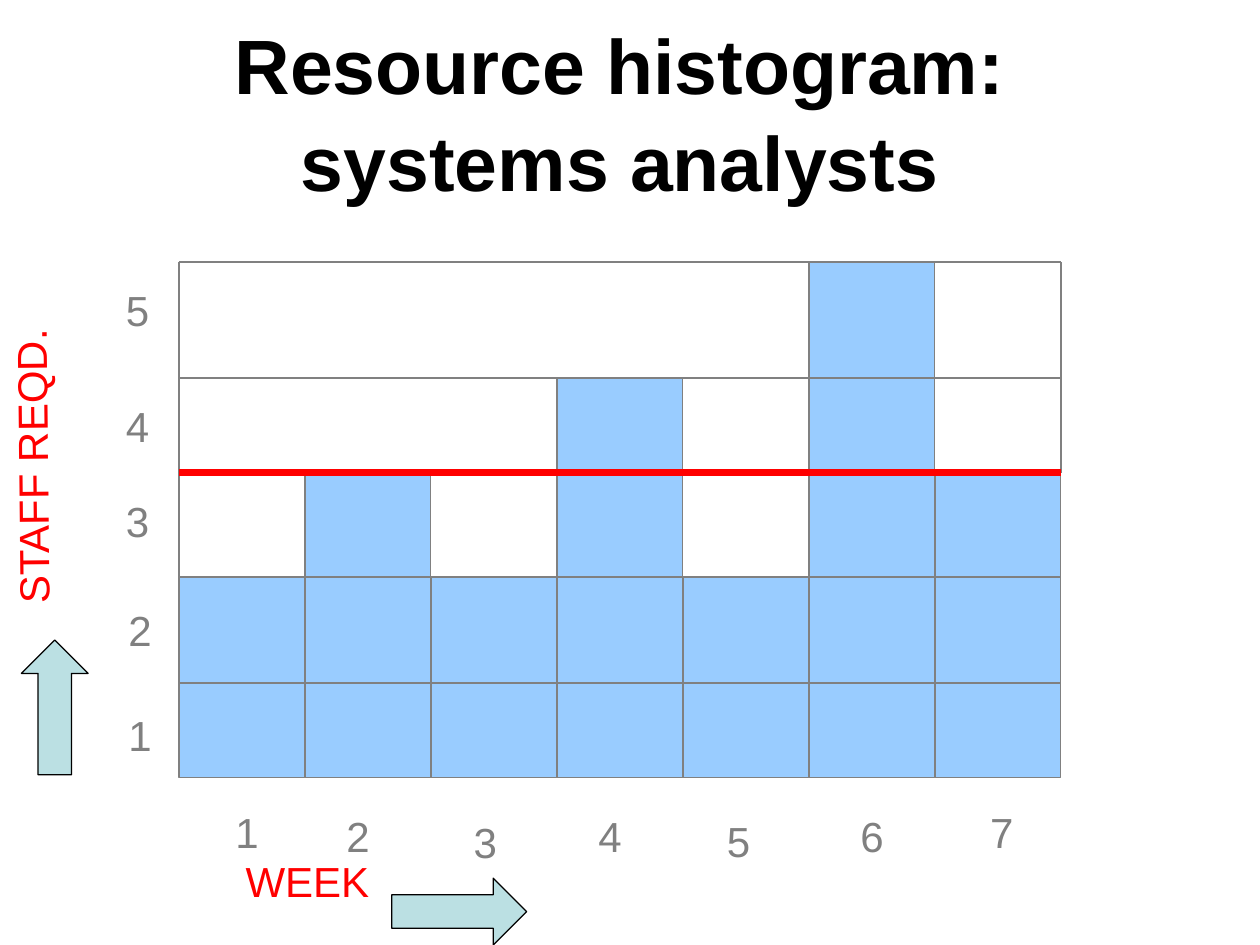
from lxml import etree
from pptx import Presentation
from pptx.dml.color import RGBColor
from pptx.enum.shapes import MSO_CONNECTOR, MSO_SHAPE
from pptx.enum.text import MSO_ANCHOR, MSO_AUTO_SIZE, PP_ALIGN
from pptx.oxml.ns import qn
from pptx.util import Inches, Pt

LINE = MSO_CONNECTOR.STRAIGHT
RECT = MSO_SHAPE.RECTANGLE
RIGHT = MSO_SHAPE.RIGHT_ARROW
UP = MSO_SHAPE.UP_ARROW
MIDDLE = MSO_ANCHOR.MIDDLE
NO_FIT = MSO_AUTO_SIZE.NONE
CENTER = PP_ALIGN.CENTER

GRAY, RED, BLACK = "808080", "FF0000", "000000"
BLUE, TEAL = "99CCFF", "BBE0E3"
LEFT, COL = 1.42, 1
LEVELS = [6.17, 5.42, 4.58, 3.75, 3, 2.08]
STAFF = [2, 3, 2, 4, 2, 5, 3]
WEEK_SPOTS = [(1.77, 6.35), (2.65, 6.38), (3.66, 6.43), (4.65, 6.38),
              (5.67, 6.42), (6.73, 6.38), (7.76, 6.35)]
STAFF_SPOTS = [(0.92, 5.58), (0.92, 4.75), (0.9, 3.88), (0.9, 3.13), (0.9, 2.21)]


def color(code):
    return RGBColor.from_string(code)


def style(para, size, code, bold=False):
    font = para.font
    font.name, font.size, font.bold = "Arial", Pt(size), bold
    font.color.rgb = color(code)


def add_title(slide, text):
    title = slide.shapes.title
    title.left, title.top = Inches(0.67), Inches(0.25)
    title.width, title.height = Inches(8.5), Inches(1.25)
    frame = title.text_frame
    frame.text = text
    frame.auto_size = NO_FIT
    frame.vertical_anchor = MIDDLE
    para = frame.paragraphs[0]
    para.alignment = CENTER
    para.line_spacing = 1.05
    style(para, 44, BLACK, True)


def add_label(slide, text, x, y, width=0.38, code=GRAY, turn=0):
    box = slide.shapes.add_textbox(Inches(x), Inches(y), Inches(width), Inches(0.5))
    box.rotation = turn
    frame = box.text_frame
    frame.text = text
    frame.word_wrap = False
    style(frame.paragraphs[0], 24, code)


def add_block(slide, kind, x, y, width, height, fill, edge):
    shape = slide.shapes.add_shape(
        kind, Inches(x), Inches(y), Inches(width), Inches(height))
    shape.shadow.inherit = False
    shape.fill.solid()
    shape.fill.fore_color.rgb = color(fill)
    shape.line.color.rgb = color(edge)
    shape.line.width = Pt(0.75)


def add_line(slide, x1, y1, x2, y2, code=GRAY, width=0.75):
    line = slide.shapes.add_connector(
        LINE, Inches(x1), Inches(y1), Inches(x2), Inches(y2))
    line.line.color.rgb = color(code)
    line.line.width = Pt(width)
    etree.SubElement(line._element.spPr, qn("a:effectLst"))


def add_chart_grid(slide):
    base, top = LEVELS[0], LEVELS[-1]
    end = LEFT + COL * len(STAFF)
    for week, count in enumerate(STAFF):
        peak = LEVELS[count]
        add_block(slide, RECT, LEFT + week * COL, peak, COL, base - peak, BLUE, GRAY)
    for level in (1, 2, 4, 5):
        add_line(slide, LEFT, LEVELS[level], end, LEVELS[level])
    add_line(slide, LEFT, LEVELS[2], LEFT, top)
    add_line(slide, end, LEVELS[3], end, top)
    add_line(slide, LEFT, LEVELS[3], end, LEVELS[3], RED, 4.5)


def main():
    deck = Presentation()
    deck.slide_width, deck.slide_height = Inches(10), Inches(7.5)
    slide = deck.slides.add_slide(deck.slide_layouts[5])
    add_title(slide, "Resource histogram:\vsystems analysts")
    add_chart_grid(slide)
    for spots in (WEEK_SPOTS, STAFF_SPOTS):
        for index, (x, y) in enumerate(spots, 1):
            add_label(slide, str(index), x, y)
    add_label(slide, "WEEK", 1.85, 6.74, 1.18, RED)
    add_block(slide, RIGHT, 3.11, 6.97, 1.07, 0.53, TEAL, BLACK)
    add_block(slide, UP, 0.17, 5.08, 0.53, 1.07, TEAL, BLACK)
    add_label(slide, "STAFF REQD.", -0.95, 3.44, 2.4, RED, 269.4)
    deck.save("out.pptx")


if __name__ == "__main__":
    main()
